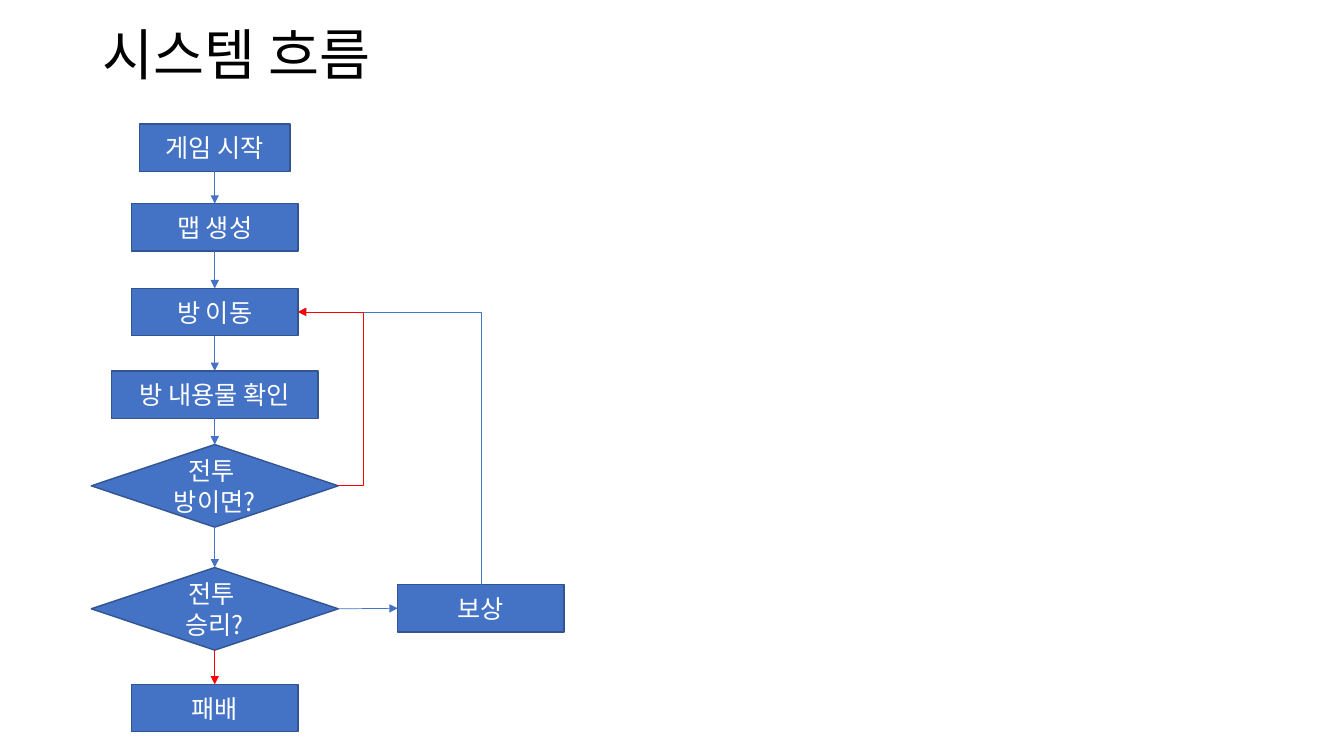
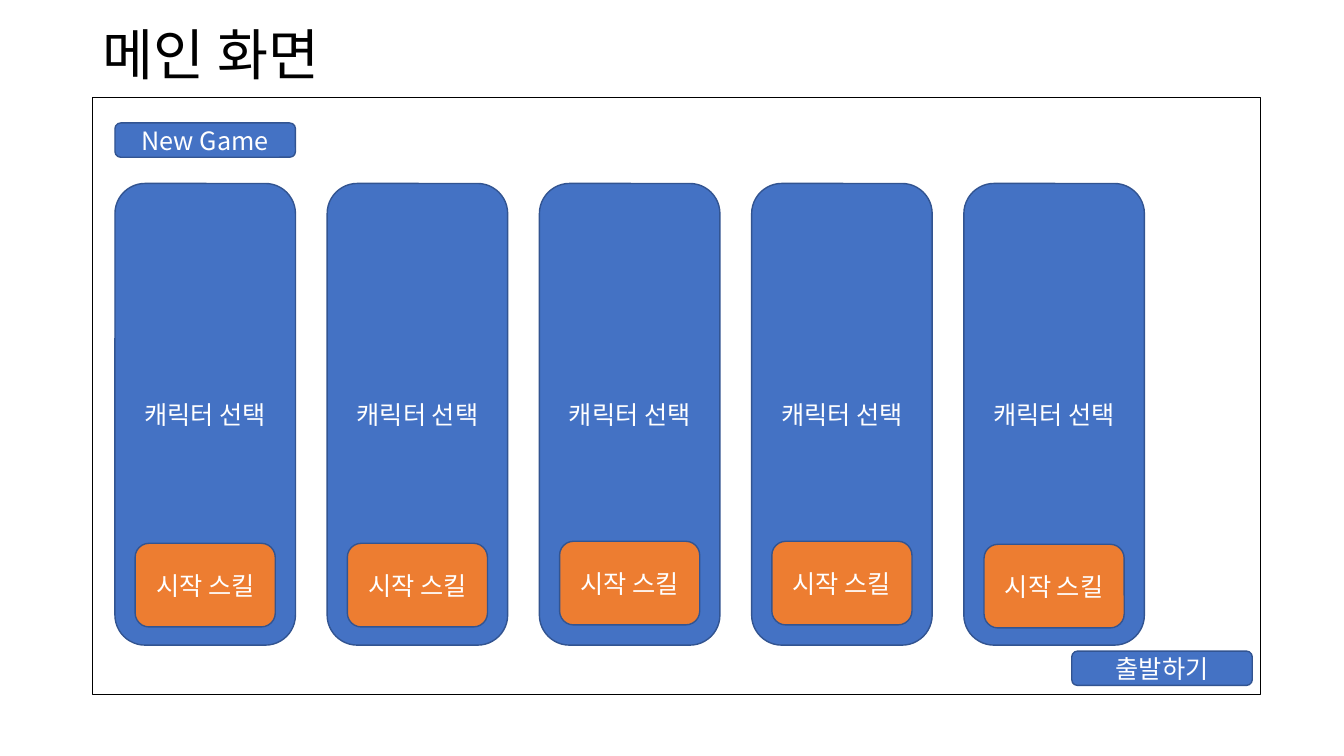
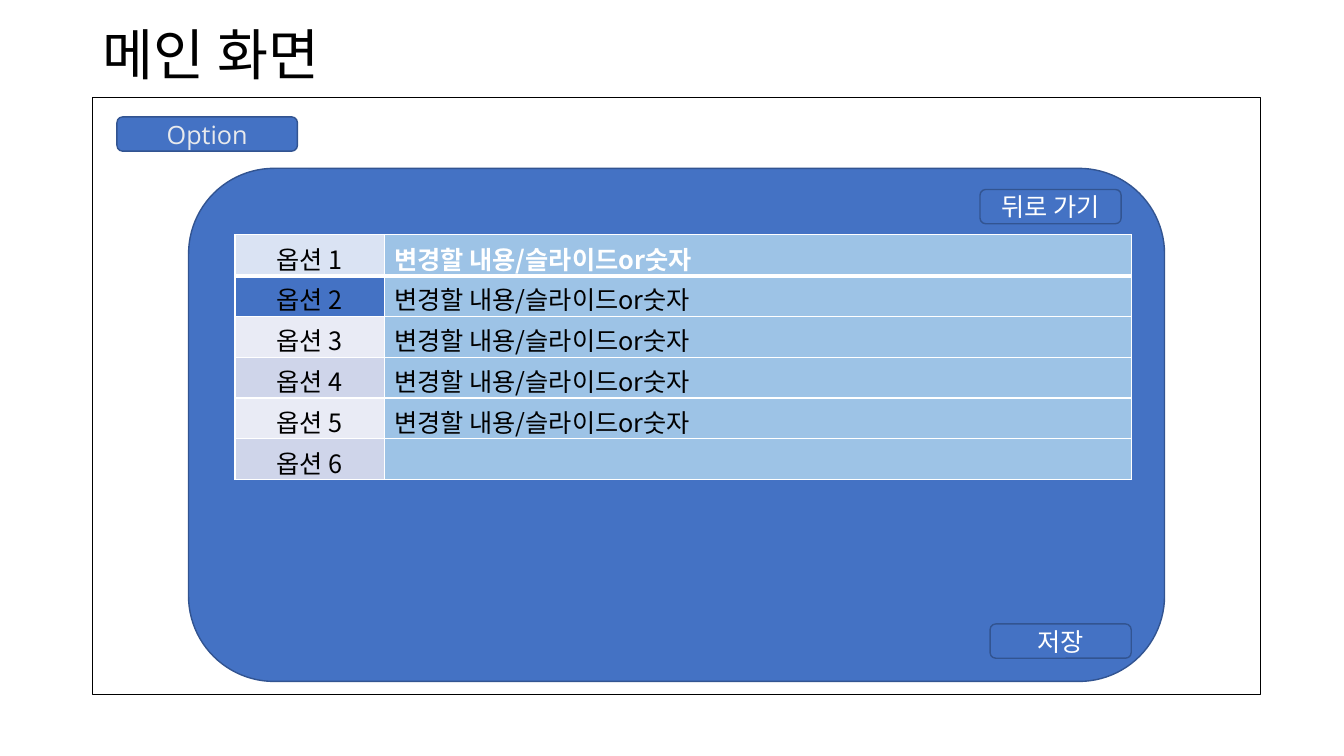
from dataclasses import dataclass
from typing import Optional

from lxml import etree
from pptx import Presentation
from pptx import util as u
from pptx.dml.color import RGBColor
from pptx.enum import shapes, text
from pptx.oxml.ns import qn

KIND = shapes.MSO_SHAPE
LINK = shapes.MSO_CONNECTOR
HUES = {
    "blue": "4472C4", "edge": "325491", "gold": "ED7D31", "red": "FF0000",
    "white": "FFFFFF", "black": "000000", "gray": "E8EAED", "sky": "9DC3E6",
    "pale": "DAE3F3", "mist": "E9EBF5", "haze": "CFD5EA",
}
FACE = "Noto Sans CJK KR"
COLS, ROWS = 13.33, 7.5
CELL = u.Inches(1)
TOP, LEFT, FOOT, RIGHT = range(4)
MID = 2.13


@dataclass(frozen=True)
class Box:
    x: float
    y: float
    w: float
    h: float
    words: str = ""
    kind: KIND = KIND.ROUNDED_RECTANGLE
    fill: Optional[str] = "blue"
    line: str = "edge"
    face: str = FACE
    ink: str = "white"


@dataclass(frozen=True)
class Arrow:
    start: str
    exit: int
    end: str
    entry: int
    hue: str = "blue"
    kind: LINK = LINK.STRAIGHT


def span(n: float) -> int:
    return round(n * CELL)


def rgb(name: str) -> RGBColor:
    return RGBColor.from_string(HUES[name])


def style(para, size: float, ink: str, face: str = FACE, bold: bool = False) -> None:
    font = para.font
    font.size, font.name, font.bold = u.Pt(size), face, bold
    font.color.rgb = rgb(ink)
    props = para._p.pPr.find(qn("a:defRPr"))
    etree.SubElement(props, qn("a:ea"), typeface=face)


def draw(slide, box: Box):
    shape = slide.shapes.add_shape(box.kind, *map(span, (box.x, box.y, box.w, box.h)))
    shape.shadow.inherit = False
    if box.fill:
        shape.fill.solid()
        shape.fill.fore_color.rgb = rgb(box.fill)
    else:
        shape.fill.background()
    shape.line.color.rgb = rgb(box.line)
    shape.line.width = u.Pt(1)
    if box.words:
        frame = shape.text_frame
        frame.text = box.words
        frame.word_wrap = True
        frame.vertical_anchor = text.MSO_ANCHOR.MIDDLE
        for para in frame.paragraphs:
            para.alignment = text.PP_ALIGN.CENTER
            style(para, 18, box.ink, box.face)
    return shape


def start(deck, title: str, framed: bool = True):
    slide = deck.slides.add_slide(deck.slide_layouts[6])
    if framed:
        draw(slide, Box(0.92, 0.97, 11.58, 5.92, kind=KIND.RECTANGLE, fill=None, line="black"))
    frame = slide.shapes.add_textbox(*map(span, (0.92, 0.4, 9.14, 0.35))).text_frame
    frame.text = title
    frame.word_wrap = True
    frame.vertical_anchor = text.MSO_ANCHOR.MIDDLE
    para = frame.paragraphs[0]
    para.line_spacing = 0.9
    style(para, 39.6, "black")
    return slide


def join(slide, nodes: dict, arrow: Arrow):
    link = slide.shapes.add_connector(arrow.kind, 0, 0, 0, 0)
    link.begin_connect(nodes[arrow.start], arrow.exit)
    link.end_connect(nodes[arrow.end], arrow.entry)
    link.line.color.rgb = rgb(arrow.hue)
    link.line.width = u.Pt(0.5)
    props = link._element.spPr
    etree.SubElement(props.find(qn("a:ln")), qn("a:tailEnd"), type="triangle")
    etree.SubElement(props, qn("a:effectLst"))
    return link


def bulge(link, share: float) -> None:
    geom = link._element.spPr.find(qn("a:prstGeom"))
    guides = geom.find(qn("a:avLst"))
    if guides is None:
        guides = etree.SubElement(geom, qn("a:avLst"))
    etree.SubElement(guides, qn("a:gd"), name="adj1", fmla=f"val {round(share * 100000)}")


def corner(link) -> None:
    x, y, w, h = link.left, link.top, link.width, link.height
    link.left, link.top = x + (w - h) // 2, y + (h - w) // 2
    link.width, link.height = h, w
    props = link._element.spPr
    place = props.find(qn("a:xfrm"))
    place.attrib.pop("flipH", None)
    place.set("rot", str(270 * 60000))
    props.find(qn("a:prstGeom")).set("prst", "bentConnector2")


def step(words: str, y: float, w: float = 1.65, mid: float = MID) -> Box:
    return Box(mid - w / 2, y, w, 0.47, words, KIND.RECTANGLE)


def test(words: str, y: float) -> Box:
    return Box(MID - 2.45 / 2, y, 2.45, 0.82, words, KIND.DIAMOND)


def flow(deck) -> None:
    slide = start(deck, "시스템 흐름", framed=False)
    plan = {
        "begin": step("게임 시작", 1.23, 1.49),
        "map": step("맵 생성", 2.02),
        "room": step("방 이동", 2.86),
        "check": step("방 내용물 확인", 3.68, 2.05),
        "fight": test("전투 \n방이면?", 4.41),
        "win": test("전투 \n승리?", 5.63),
        "lose": step("패배", 6.79),
        "prize": step("보상", 5.8, mid=4.77),
    }
    nodes = {name: draw(slide, box) for name, box in plan.items()}
    chain = list(plan)[:7]
    for one, two in zip(chain, chain[1:]):
        join(slide, nodes, Arrow(one, FOOT, two, TOP, "red" if two == "lose" else "blue"))
    join(slide, nodes, Arrow("win", RIGHT, "prize", LEFT))
    corner(join(slide, nodes, Arrow("prize", TOP, "room", RIGHT, kind=LINK.ELBOW)))
    bulge(join(slide, nodes, Arrow("fight", RIGHT, "room", RIGHT, "red", LINK.ELBOW)), -0.62)


def picker(deck) -> None:
    slide = start(deck, "메인 화면")
    draw(slide, Box(1.14, 1.22, 1.79, 0.34, "New Game"))
    gap = (9.56 - 1.14) / 4
    for i, y in enumerate((5.39, 5.39, 5.37, 5.37, 5.4)):
        x = 1.14 + i * gap
        draw(slide, Box(x, 1.82, 1.79, 4.58, "캐릭터 선택"))
        draw(slide, Box(x + 0.2, y, 1.39, 0.83, "시작 스킬", fill="gold"))
    draw(slide, Box(10.63, 6.46, 1.79, 0.34, "출발하기"))


def rim(cell, head: bool, below: bool) -> None:
    props = cell._tc.get_or_add_tcPr()
    sides = {"lnL": 1, "lnR": 1, "lnT": 3 if below else 1, "lnB": 3 if head else 1}
    for i, (side, width) in enumerate(sides.items()):
        line = etree.Element(qn(f"a:{side}"), w=str(u.Pt(width)))
        fill = etree.SubElement(line, qn("a:solidFill"))
        etree.SubElement(fill, qn("a:srgbClr"), val=HUES["white"])
        props.insert(i, line)


def options(deck) -> None:
    slide = start(deck, "메인 화면")
    draw(slide, Box(1.16, 1.16, 1.79, 0.34, "Option", face="Open Sans", ink="gray"))
    draw(slide, Box(1.87, 1.67, 9.68, 5.09))
    fills = ("pale", "blue", "mist", "haze", "mist", "haze")
    grid = slide.shapes.add_table(len(fills), 2, *map(span, (2.33, 2.33, 8.89, 2.43))).table
    grid.first_row = grid.horz_banding = False
    for col, w in zip(grid.columns, (1.48, 7.41)):
        col.width = span(w)
    for r, hue in enumerate(fills):
        note = "변경할 내용/슬라이드or숫자" if r < 5 else ""
        for c, (words, fill) in enumerate(((f"옵션 {r + 1}", hue), (note, "sky"))):
            cell = grid.cell(r, c)
            cell.text = words
            cell.fill.solid()
            cell.fill.fore_color.rgb = rgb(fill)
            rim(cell, r == 0, r == 1)
            head = r == 0 and c == 1
            para = cell.text_frame.paragraphs[0]
            para.alignment = text.PP_ALIGN.LEFT if c else text.PP_ALIGN.CENTER
            style(para, 18, "white" if head else "black", bold=head)
    draw(slide, Box(9.72, 1.88, 1.4, 0.34, "뒤로 가기"))
    draw(slide, Box(9.82, 6.19, 1.4, 0.34, "저장"))


def main() -> None:
    deck = Presentation()
    deck.slide_width, deck.slide_height = span(COLS), span(ROWS)
    for build in (flow, picker, options):
        build(deck)
    deck.save("out.pptx")


if __name__ == "__main__":
    main()
